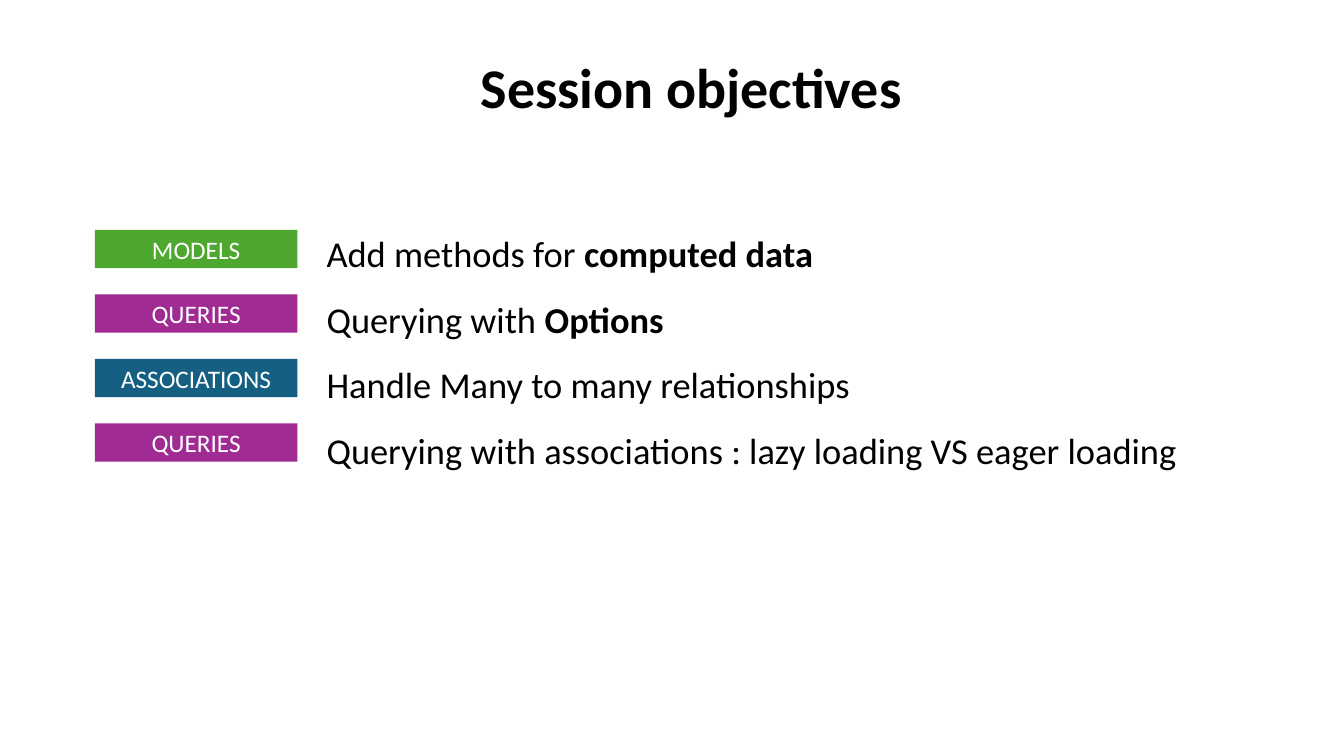
"""Build the session objectives slide."""
from dataclasses import dataclass

from pptx import Presentation
from pptx.dml.color import RGBColor as RGB
from pptx.enum.shapes import MSO_SHAPE as Shape
from pptx.enum.text import MSO_ANCHOR as Anchor, PP_ALIGN as Align
from pptx.util import Emu, Pt

PX = 9144


@dataclass(frozen=True)
class Theme:
    font: str = "Calibri"
    black: str = "000000"
    white: str = "FFFFFF"
    green: str = "4EA72E"
    purple: str = "A02B93"
    blue: str = "156082"
    title: int = 40
    body: int = 26
    tag: int = 18


THEME = Theme()

GOALS = [
    ("MODELS", THEME.green, "Add methods for *computed data*"),
    ("QUERIES", THEME.purple, "Querying with *Options*"),
    ("ASSOCIATIONS", THEME.blue, "Handle Many to many relationships"),
    ("QUERIES", THEME.purple,
     "Querying with associations : lazy loading VS eager loading"),
]


def px(*sizes):
    return [Emu(size * PX) for size in sizes]


def write(frame, text, size, color=THEME.black, align=Align.LEFT,
          anchor=Anchor.TOP, spacing=1.0):
    """Fill a frame, one paragraph a line, with words between stars in bold."""
    frame.word_wrap = True
    frame.vertical_anchor = anchor
    for row, line in enumerate(text.split("\n")):
        para = frame.add_paragraph() if row else frame.paragraphs[0]
        para.alignment = align
        para.line_spacing = spacing
        for part, words in enumerate(line.split("*")):
            if words:
                run = para.add_run()
                run.text = words
                font = run.font
                font.name = THEME.font
                font.size = Pt(size)
                font.bold = part % 2 == 1
                font.color.rgb = RGB.from_string(color)


def label(slide, box, text, size, **style):
    write(slide.shapes.add_textbox(*px(*box)).text_frame, text, size, **style)


def tag(slide, box, text, fill):
    shape = slide.shapes.add_shape(Shape.RECTANGLE, *px(*box))
    shape.shadow.inherit = False
    shape.fill.solid()
    shape.fill.fore_color.rgb = RGB.from_string(fill)
    shape.line.fill.background()
    write(shape.text_frame, text, THEME.tag, color=THEME.white,
          align=Align.CENTER, anchor=Anchor.MIDDLE)


def main():
    deck = Presentation()
    deck.slide_width, deck.slide_height = px(1333, 750)
    slide = deck.slides.add_slide(deck.slide_layouts[6])
    label(slide, (467, 47, 456, 77), "*Session objectives*", THEME.title)
    label(slide, (314, 203, 945, 273), "\n".join(goal for _, _, goal in GOALS),
          THEME.body, spacing=1.5)
    for row, (name, fill, _) in enumerate(GOALS):
        tag(slide, (94, 228 + 64 * row, 201, 38), name, fill)
    deck.save("out.pptx")


if __name__ == "__main__":
    main()
